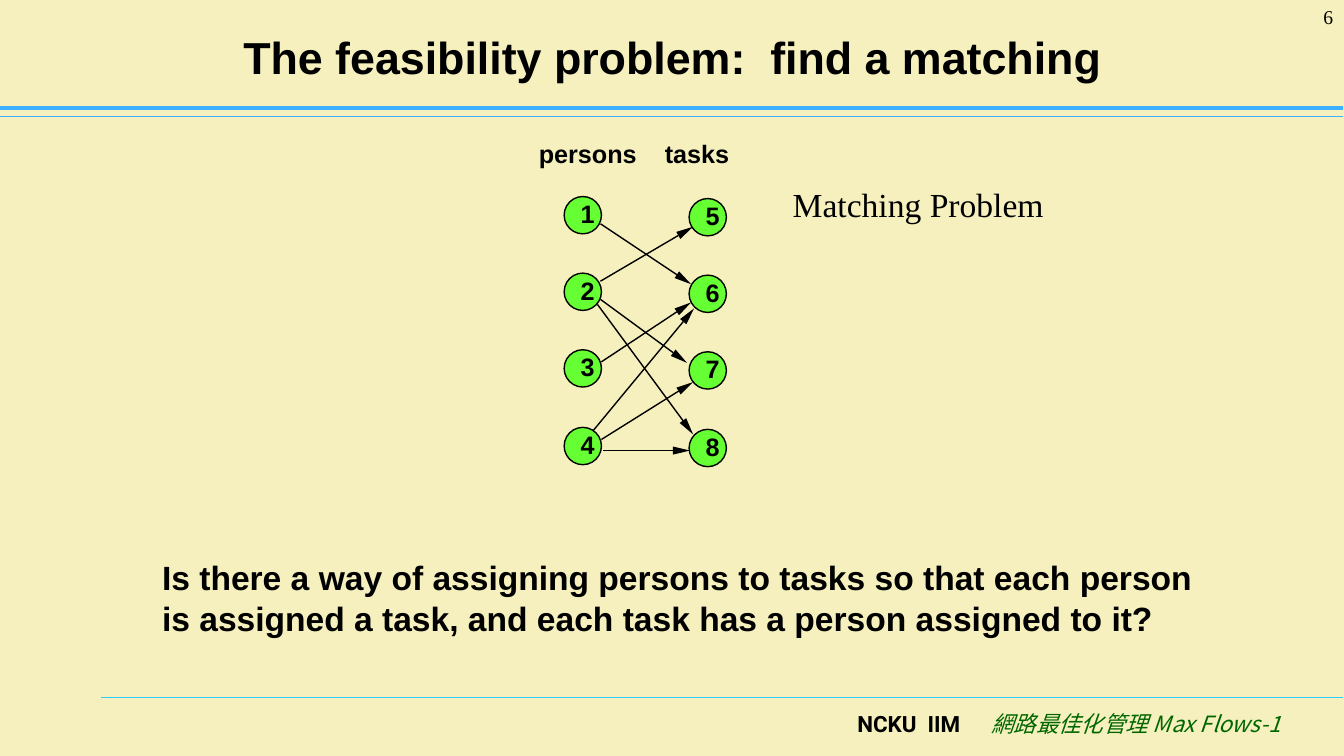
"""Build the slide on finding a matching between persons and tasks."""
import math

from lxml import etree
from pptx import Presentation
from pptx import util as u
from pptx.dml.color import RGBColor
from pptx.enum import shapes, text
from pptx.oxml.ns import qn

PX = 9144
SLIDE_W, SLIDE_H = 1334, 750
CREAM = RGBColor(0xF5, 0xF0, 0xBD)
BLUE = RGBColor(0x3D, 0xB0, 0xFF)
CYAN = RGBColor(0x33, 0xCC, 0xFF)
LIME = RGBColor(0x66, 0xFF, 0x33)
GREEN = RGBColor(0x00, 0x66, 0x00)
BLACK = RGBColor(0, 0, 0)

LEFT, CENTER, RIGHT = text.PP_ALIGN.LEFT, text.PP_ALIGN.CENTER, text.PP_ALIGN.RIGHT
TOP, MIDDLE = text.MSO_ANCHOR.TOP, text.MSO_ANCHOR.MIDDLE
ARIAL = {"name": "Arial", "bold": True}
TIMES = {"name": "Times New Roman", "bold": False}
ROBOTO = {"name": "Roboto", "bold": True}
CJK = {"name": "Noto Sans CJK SC", "bold": False, "italic": True}

RULES = [
    ((100, 692), (1333, 692), CYAN, 0.75),
    ((0, 116), (1333, 116), BLUE, 0.75),
    ((0, 107), (1333, 107), BLUE, 2.5),
]
QUESTION = ("Is there a way of assigning persons to tasks so that each person "
            "is assigned a task, and each task has a person assigned to it?")
LABELS = [
    ("NCKU  IIM", (763, 700, 200, 50), RIGHT, TOP, 16, BLACK, ROBOTO),
    ("網路最佳化管理 Max Flows-1", (961, 700, 320, 50), RIGHT, TOP, 16, GREEN, CJK),
    ("The feasibility problem:  find a matching", (68, 13, 1200, 87), CENTER, MIDDLE, 32, BLACK, ARIAL),
    ("6", (1222, 0, 111, 50), RIGHT, TOP, 14, BLACK, TIMES),
    (QUESTION, (151, 548, 1071, 90), LEFT, TOP, 24, BLACK, ARIAL),
    ("persons", (525, 132, 125, 40), LEFT, TOP, 18, BLACK, ARIAL),
    ("tasks", (650, 132, 108, 40), LEFT, TOP, 18, BLACK, ARIAL),
    ("Matching Problem", (777, 178, 269, 50), LEFT, TOP, 24, BLACK, TIMES),
]

NODE_COLUMNS = [(560, 195, "1234"), (684, 197, "5678")]
NODE_SIZE, COLUMN_SPAN = 37, 229
NODE_INSETS = {"margin_left": 11, "margin_top": 0, "margin_right": 0, "margin_bottom": 3}
ASSIGNMENTS = {
    "1-6": ((596, 222), (686, 282)),
    "2-7": ((596, 297), (682, 360)),
    "2-8": ((593, 302), (688, 431)),
    "4-6": ((589, 427), (689, 306)),
    "4-7": ((597, 436), (688, 379)),
    "2-5": ((596, 279), (688, 225)),
    "3-6": ((597, 359), (686, 300)),
    "4-8": ((599, 447), (685, 447)),
}
HEAD_LENGTH, HEAD_HALF = 17, 4


def emu(*lengths):
    return [round(length * PX) for length in lengths]


def write(frame, words, align, anchor, size, color, face):
    frame.word_wrap = True
    frame.vertical_anchor = anchor
    paragraph = frame.paragraphs[0]
    paragraph.alignment = align
    run = paragraph.add_run()
    run.text = words
    for key, value in {**face, "size": u.Pt(size)}.items():
        setattr(run.font, key, value)
    run.font.color.rgb = color
    if face is CJK:
        east_asian = etree.SubElement(run.font._element, qn("a:ea"))
        east_asian.set("typeface", face["name"])


def draw_line(slide, start, end, color, width):
    line = slide.shapes.add_connector(shapes.MSO_CONNECTOR.STRAIGHT, *emu(*start, *end))
    line.line.color.rgb = color
    line.line.width = u.Pt(width)
    etree.SubElement(line._element.spPr, qn("a:effectLst"))


def draw_node(slide, number, x, y):
    node = slide.shapes.add_shape(shapes.MSO_SHAPE.OVAL, *emu(x, y, NODE_SIZE, NODE_SIZE))
    node.shadow.inherit = False
    node.fill.solid()
    node.fill.fore_color.rgb = LIME
    node.line.color.rgb = BLACK
    node.line.width = u.Pt(1)
    for side, inset in NODE_INSETS.items():
        setattr(node.text_frame, side, inset * PX)
    write(node.text_frame, number, LEFT, MIDDLE, 18, BLACK, ARIAL)


def draw_arrow(slide, start, tip):
    angle = math.atan2(tip[1] - start[1], tip[0] - start[0])
    dx, dy = math.cos(angle), math.sin(angle)
    base = tip[0] - HEAD_LENGTH * dx, tip[1] - HEAD_LENGTH * dy
    corners = [emu(base[0] - side * dy, base[1] + side * dx) for side in (HEAD_HALF, -HEAD_HALF)]
    outline = slide.shapes.build_freeform(*emu(*tip))
    outline.add_line_segments(corners, close=True)
    head = outline.convert_to_shape()
    head.shadow.inherit = False
    head.fill.solid()
    head.fill.fore_color.rgb = BLACK
    head.line.fill.background()
    draw_line(slide, start, base, BLACK, 1)


def main():
    deck = Presentation()
    deck.slide_width, deck.slide_height = emu(SLIDE_W, SLIDE_H)
    slide = deck.slides.add_slide(deck.slide_layouts[6])
    slide.background.fill.solid()
    slide.background.fill.fore_color.rgb = CREAM

    for rule in RULES:
        draw_line(slide, *rule)
    for words, place, *style in LABELS:
        write(slide.shapes.add_textbox(*emu(*place)).text_frame, words, *style)
    for x, top, numbers in NODE_COLUMNS:
        for row, number in enumerate(numbers):
            draw_node(slide, number, x, top + row * COLUMN_SPAN // (len(numbers) - 1))
    for start, tip in ASSIGNMENTS.values():
        draw_arrow(slide, start, tip)
    deck.save("out.pptx")


if __name__ == "__main__":
    main()
